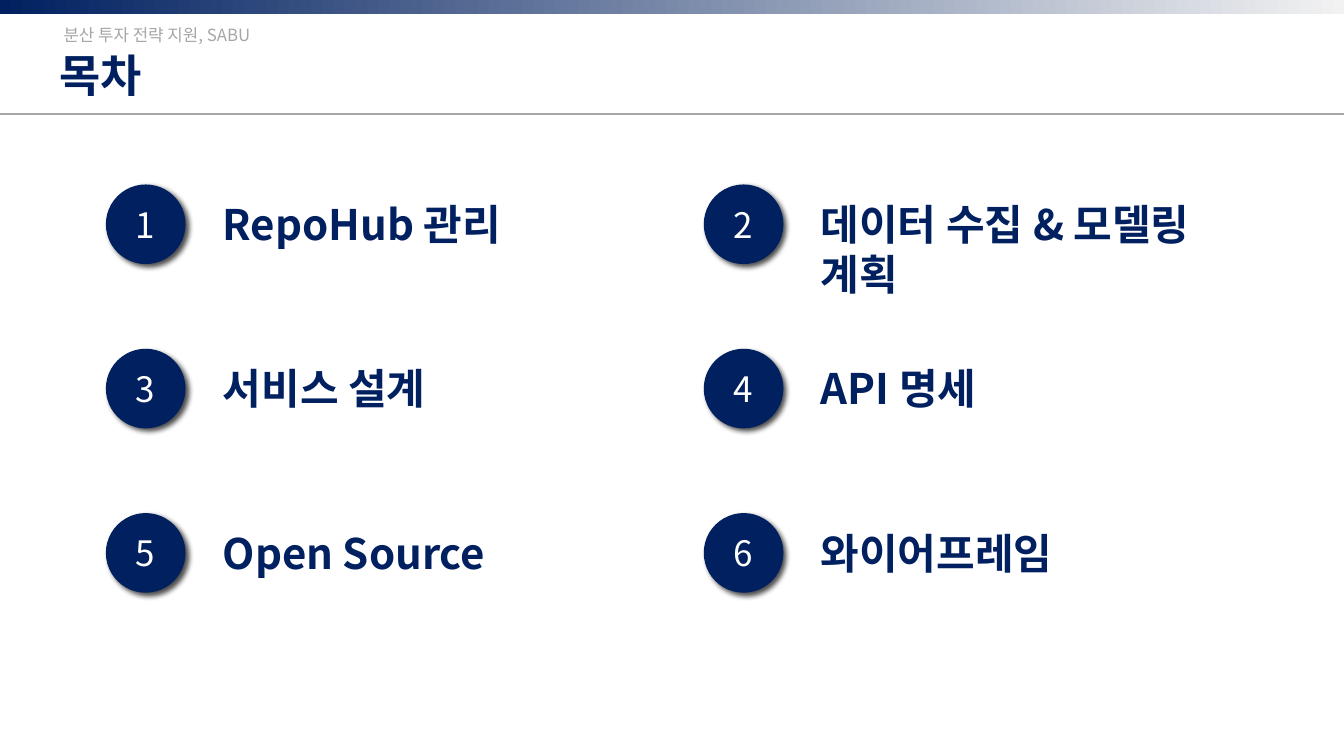
import dataclasses

import lxml.etree
import pptx
import pptx.dml.color
import pptx.enum.shapes
import pptx.enum.text
import pptx.oxml.ns
import pptx.util

Inches = pptx.util.Inches
Pt = pptx.util.Pt

TITLE = "목차"
PROJECT = "분산 투자 전략 지원, SABU"
CHAPTERS = [
    "RepoHub 관리",
    "데이터 수집 & 모델링 계획",
    "서비스 설계",
    "API 명세",
    "Open Source",
    "와이어프레임",
]


@dataclasses.dataclass(frozen=True)
class Theme:
    font: str = "Noto Sans CJK KR"
    navy: str = "002060"
    gray: str = "A6A6A6"
    pale: str = "F2F2F2"
    white: str = "FFFFFF"
    title_size: int = 32
    chapter_size: int = 30
    number_size: int = 25
    project_size: int = 12


THEME = Theme()
COLUMNS = 2
SLIDE_WIDTH, SLIDE_HEIGHT = 13.33, 7.5
GRID_LEFT, GRID_TOP = 1.05, 1.83
COLUMN_STEP, ROW_STEP = 5.93, 1.63
BADGE_SIZE = 0.79
LABEL_DX, LABEL_DY = 1.16, 0.14
LABEL_WIDTH, WIDE_LABEL_WIDTH, LABEL_HEIGHT = 3.67, 4.35, 0.5
WIDE_LABEL_LENGTH = 12


def rgb(color):
    return pptx.dml.color.RGBColor.from_string(color)


def add_xml(parent, tag, **attributes):
    return lxml.etree.SubElement(parent, pptx.oxml.ns.qn(tag), attributes)


def write(shape, text, *, size, color, bold=False, align="LEFT", anchor="TOP",
          margin=0, grow=True):
    frame = shape.text_frame
    frame.word_wrap = True
    frame.margin_left = frame.margin_right = Inches(margin)
    frame.margin_top = frame.margin_bottom = Inches(margin / 2)
    frame.vertical_anchor = pptx.enum.text.MSO_ANCHOR[anchor]
    fit = "SHAPE_TO_FIT_TEXT" if grow else "NONE"
    frame.auto_size = pptx.enum.text.MSO_AUTO_SIZE[fit]
    paragraph = frame.paragraphs[0]
    paragraph.alignment = pptx.enum.text.PP_ALIGN[align]
    run = paragraph.add_run()
    run.text = text
    run.font.name = THEME.font
    run.font.size = Pt(size)
    run.font.bold = bold
    run.font.color.rgb = rgb(color)
    add_xml(run.font._element, "a:ea", typeface=THEME.font)


def add_badge(shapes, number, left, top):
    badge = shapes.add_shape(
        pptx.enum.shapes.MSO_SHAPE.OVAL,
        Inches(left), Inches(top), Inches(BADGE_SIZE), Inches(BADGE_SIZE))
    badge.fill.solid()
    badge.fill.fore_color.rgb = rgb(THEME.navy)
    badge.line.fill.background()
    badge.shadow.inherit = False
    effects = badge._element.spPr.find(pptx.oxml.ns.qn("a:effectLst"))
    shadow = add_xml(effects, "a:outerShdw", blurRad=str(Pt(4)), dist=str(Pt(3)),
                     dir=str(45 * 60000), algn="tl", rotWithShape="0")
    shade = add_xml(shadow, "a:srgbClr", val="000000")
    add_xml(shade, "a:alpha", val="70000")
    write(badge, str(number), size=THEME.number_size, color=THEME.white,
          align="CENTER", anchor="MIDDLE", margin=0.1, grow=False)


def add_chapter(slide, index, chapter):
    row, column = divmod(index, COLUMNS)
    left = GRID_LEFT + column * COLUMN_STEP
    top = GRID_TOP + row * ROW_STEP
    width = WIDE_LABEL_WIDTH if len(chapter) > WIDE_LABEL_LENGTH else LABEL_WIDTH
    group = slide.shapes.add_group_shape()
    label = group.shapes.add_textbox(
        Inches(left + LABEL_DX), Inches(top + LABEL_DY),
        Inches(width), Inches(LABEL_HEIGHT))
    write(label, chapter, size=THEME.chapter_size, color=THEME.navy, bold=True)
    add_badge(group.shapes, index + 1, left, top)


def add_header(slide):
    rule = slide.shapes.add_connector(
        pptx.enum.shapes.MSO_CONNECTOR.STRAIGHT,
        0, Inches(1.13), Inches(SLIDE_WIDTH), Inches(1.13))
    rule.line.color.rgb = rgb(THEME.gray)
    rule.line.width = Pt(1)
    add_xml(rule._element.spPr, "a:effectLst")

    title = slide.shapes.title
    title.left, title.top = Inches(0.59), Inches(0.47)
    title.width, title.height = Inches(4.46), Inches(0.54)
    write(title, TITLE, size=THEME.title_size, color=THEME.navy, bold=True)

    band = slide.shapes.add_shape(
        pptx.enum.shapes.MSO_SHAPE.RECTANGLE,
        0, 0, Inches(SLIDE_WIDTH), Inches(0.14))
    band.fill.gradient()
    band.fill.gradient_angle = 0
    for stop, color in zip(band.fill.gradient_stops, (THEME.navy, THEME.pale)):
        stop.color.rgb = rgb(color)
    band.line.fill.background()
    band.shadow.inherit = False

    project = slide.shapes.add_textbox(
        Inches(0.63), Inches(0.25), Inches(2.08), Inches(0.2))
    write(project, PROJECT, size=THEME.project_size, color=THEME.gray)


def main():
    deck = pptx.Presentation()
    deck.slide_width = Inches(SLIDE_WIDTH)
    deck.slide_height = Inches(SLIDE_HEIGHT)
    slide = deck.slides.add_slide(deck.slide_layouts.get_by_name("Title Only"))
    add_header(slide)
    for index, chapter in enumerate(CHAPTERS):
        add_chapter(slide, index, chapter)
    deck.save("out.pptx")


if __name__ == "__main__":
    main()
